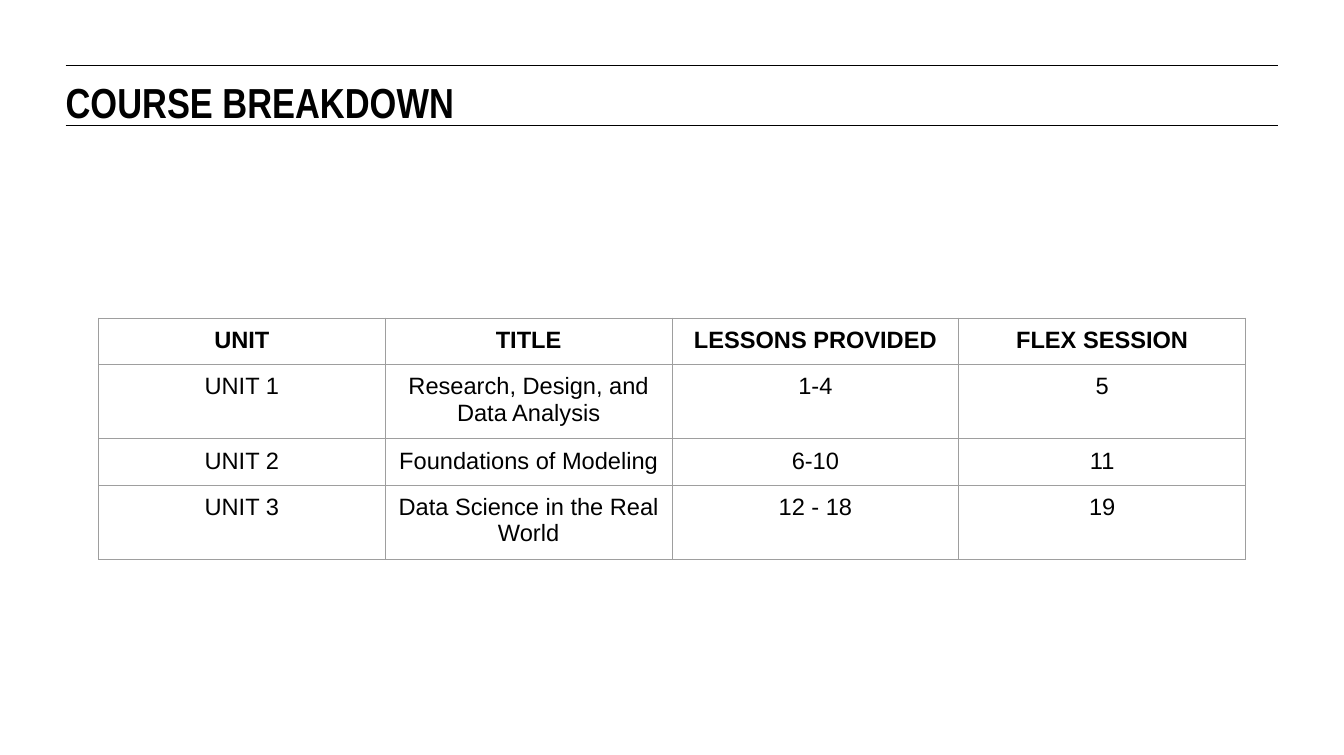
"""Build the course breakdown slide: a ruled heading above a table of units."""
from lxml import etree
from pptx import Presentation
from pptx.dml.color import RGBColor
from pptx.enum.shapes import MSO_CONNECTOR
from pptx.enum.text import MSO_ANCHOR, PP_ALIGN
from pptx.oxml.ns import qn
from pptx.util import Pt

STRAIGHT = MSO_CONNECTOR.STRAIGHT
TOP = MSO_ANCHOR.TOP
CENTER = PP_ALIGN.CENTER

BLACK = RGBColor(0x00, 0x00, 0x00)
GRID_GREY = RGBColor(0x9E, 0x9E, 0x9E)
LINE_WIDTH = Pt(0.75)
CELL_INSET = Pt(6.8)

UNITS = [
    ("UNIT", "TITLE", "LESSONS PROVIDED", "FLEX SESSION"),
    ("UNIT 1", "Research, Design, and Data Analysis", "1-4", "5"),
    ("UNIT 2", "Foundations of Modeling", "6-10", "11"),
    ("UNIT 3", "Data Science in the Real World", "12 - 18", "19"),
]


def set_font(paragraph, name, size, bold):
    paragraph.font.name = name
    paragraph.font.size = Pt(size)
    paragraph.font.bold = bold
    paragraph.font.color.rgb = BLACK


def add_rule(slide, left, top, width):
    rule = slide.shapes.add_connector(STRAIGHT, left, top, left + width, top)
    rule.line.color.rgb = BLACK
    rule.line.width = LINE_WIDTH
    etree.SubElement(rule._element.spPr, qn("a:effectLst"))


def add_heading(slide, text, left, top, width, height):
    for rule_top in (top, top + height):
        add_rule(slide, left, rule_top, width)
    heading = slide.shapes.add_textbox(left, top + Pt(8.7), Pt(608), Pt(34)).text_frame
    heading.word_wrap = True
    heading.vertical_anchor = TOP
    heading.margin_left = heading.margin_right = 0
    heading.margin_top = heading.margin_bottom = 0
    heading.text = text
    set_font(heading.paragraphs[0], "Arial Narrow", 32, True)


def set_borders(cell):
    properties = cell._tc.get_or_add_tcPr()
    for position, side in enumerate(("a:lnL", "a:lnR", "a:lnT", "a:lnB")):
        border = etree.Element(qn(side), w=str(LINE_WIDTH))
        fill = etree.SubElement(border, qn("a:solidFill"))
        etree.SubElement(fill, qn("a:srgbClr"), val=str(GRID_GREY))
        properties.insert(position, border)


def fill_cell(cell, text, bold):
    cell.fill.background()
    cell.vertical_anchor = TOP
    cell.margin_left = cell.margin_right = CELL_INSET
    cell.margin_top = cell.margin_bottom = CELL_INSET
    cell.text = text
    paragraph = cell.text_frame.paragraphs[0]
    paragraph.alignment = CENTER
    set_font(paragraph, "Arial", 18, bold)
    set_borders(cell)


def add_unit_table(slide, rows, left, top, width, height):
    units = slide.shapes.add_table(len(rows), len(rows[0]), left, top, width, height).table
    units.first_row = False
    units.horz_banding = False
    for row_index, row in enumerate(rows):
        for column_index, text in enumerate(row):
            fill_cell(units.cell(row_index, column_index), text, row_index == 0)


def main():
    presentation = Presentation()
    presentation.slide_width = Pt(1024)
    presentation.slide_height = Pt(575.5)
    slide = presentation.slides.add_slide(presentation.slide_layouts[6])
    add_heading(slide, "COURSE BREAKDOWN", Pt(50), Pt(49.8), Pt(924), Pt(46.2))
    add_unit_table(slide, UNITS, Pt(75), Pt(242.5), Pt(874), Pt(120))
    presentation.save("out.pptx")


if __name__ == "__main__":
    main()
